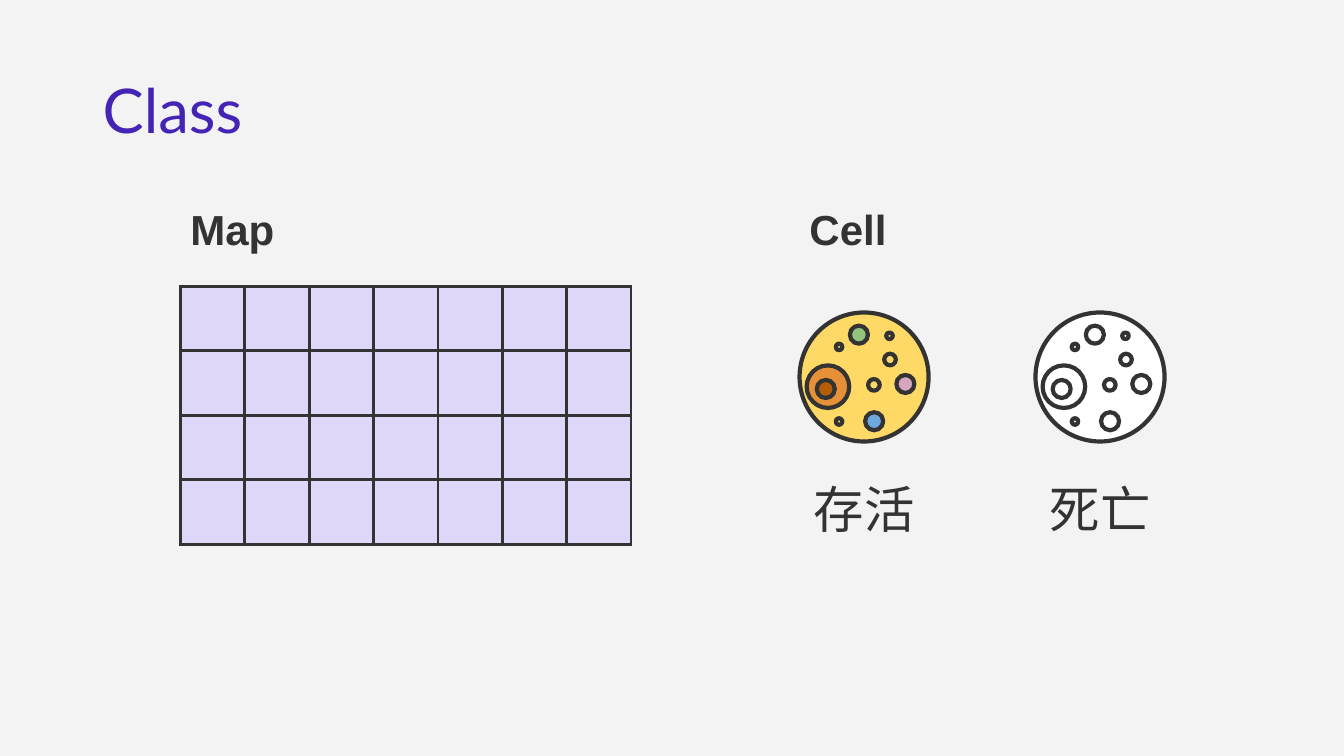
from lxml.etree import SubElement
from pptx import Presentation
from pptx.dml.color import RGBColor
from pptx.enum.shapes import MSO_SHAPE
from pptx.enum.text import MSO_ANCHOR, PP_ALIGN
from pptx.oxml.ns import qn
from pptx.util import Inches, Pt

# Content
TITLE = "Class"
MAP_HEADING, CELL_HEADING = "Map", "Cell"
INK, PURPLE, LILAC, PAPER = "333333", "4424B5", "DED7F7", "F3F3F3"
MAP_COLUMNS, MAP_ROWS = 7, 4

# Parts inside a cell: left, top, diameter in percent of the cell
ORGANELLES = [
    (5.5, 41, 33), (13.3, 52.3, 14), (39, 10.2, 14), (75, 48.4, 14),
    (50.8, 77.3, 14), (65.6, 32, 9), (53.1, 51.6, 9),
    (67.2, 15.6, 5), (28.1, 82, 5), (28.1, 24.2, 5),
]
# State label, body colour, colours of the first organelles (the rest match the body)
CELL_STATES = [
    ("存活", "FFD966", ["E69138", "B45F06", "93C47D", "D5A6BD", "6FA8DC"]),
    ("死亡", "FFFFFF", []),
]

# Layout in inches
SLIDE_W, SLIDE_H = 13.33, 7.5
MAP_LEFT, CELL_LEFT = 1.79, 7.93
HEADING_TOP, HEADING_H = 2.03, 0.7
MAP_TOP, MAP_W, MAP_H = 2.84, 4.47, 2.56
CELL_TOP, CELL_SIZE, CELL_STEP = 3.1, 1.28, 2.34
STATE_TOP, STATE_H = 4.61, 0.86


def color(value):
    return RGBColor.from_string(value)


def add_text(slide, text, box, size, font, ink=INK, bold=False, spacing=0.9,
             anchor=MSO_ANCHOR.TOP, align=PP_ALIGN.LEFT):
    frame = slide.shapes.add_textbox(*map(Inches, box)).text_frame
    frame.word_wrap = True
    frame.vertical_anchor = anchor
    paragraph = frame.paragraphs[0]
    paragraph.alignment = align
    paragraph.line_spacing = spacing
    run = paragraph.add_run()
    run.text = text
    run.font.size, run.font.name, run.font.bold = Pt(size), font, bold
    run.font.color.rgb = color(ink)


def add_circle(group, left, top, diameter, fill):
    circle = group.shapes.add_shape(
        MSO_SHAPE.OVAL, *map(Inches, (left, top, diameter, diameter)))
    circle.shadow.inherit = False
    circle.fill.solid()
    circle.fill.fore_color.rgb = color(fill)
    circle.line.color.rgb = color(INK)
    circle.line.width = Pt(3)


def add_cell(slide, left, body, accents):
    group = slide.shapes.add_group_shape()
    add_circle(group, left, CELL_TOP, CELL_SIZE, body)
    fills = accents + [body] * (len(ORGANELLES) - len(accents))
    unit = CELL_SIZE / 100
    for (x, y, diameter), fill in zip(ORGANELLES, fills):
        add_circle(group, left + x * unit, CELL_TOP + y * unit, diameter * unit, fill)


def add_borders(square):
    properties = square._tc.get_or_add_tcPr()
    for side in ("lnL", "lnR", "lnT", "lnB"):
        line = SubElement(properties, qn(f"a:{side}"), w=str(Pt(2.25)))
        solid = SubElement(line, qn("a:solidFill"))
        SubElement(solid, qn("a:srgbClr"), val=INK)


def add_map(slide):
    grid = slide.shapes.add_table(
        MAP_ROWS, MAP_COLUMNS, *map(Inches, (MAP_LEFT, MAP_TOP, MAP_W, MAP_H))).table
    grid.first_row = grid.horz_banding = False
    for square in grid.iter_cells():
        add_borders(square)
        square.fill.solid()
        square.fill.fore_color.rgb = color(LILAC)


def main():
    deck = Presentation()
    deck.slide_width, deck.slide_height = Inches(SLIDE_W), Inches(SLIDE_H)
    slide = deck.slides.add_slide(deck.slide_layouts[6])
    slide.background.fill.solid()
    slide.background.fill.fore_color.rgb = color(PAPER)

    # Title and headings
    add_text(slide, TITLE, (0.92, 0.4, 11.5, 1.45), 44, "Lato", PURPLE,
             anchor=MSO_ANCHOR.MIDDLE)
    cells_width = CELL_STEP + CELL_SIZE
    for heading, left, width in ((MAP_HEADING, MAP_LEFT, MAP_W),
                                 (CELL_HEADING, CELL_LEFT, cells_width)):
        add_text(slide, heading, (left, HEADING_TOP, width, HEADING_H), 30, "Arial",
                 bold=True)

    # Map grid
    add_map(slide)

    # Living and dead cells with their labels
    for index, (state, body, accents) in enumerate(CELL_STATES):
        left = CELL_LEFT + index * CELL_STEP
        add_cell(slide, left, body, accents)
        add_text(slide, state, (left, STATE_TOP, CELL_SIZE, STATE_H), 36, "Open Sans",
                 spacing=1.0, anchor=MSO_ANCHOR.MIDDLE, align=PP_ALIGN.CENTER)

    deck.save("out.pptx")


if __name__ == "__main__":
    main()
